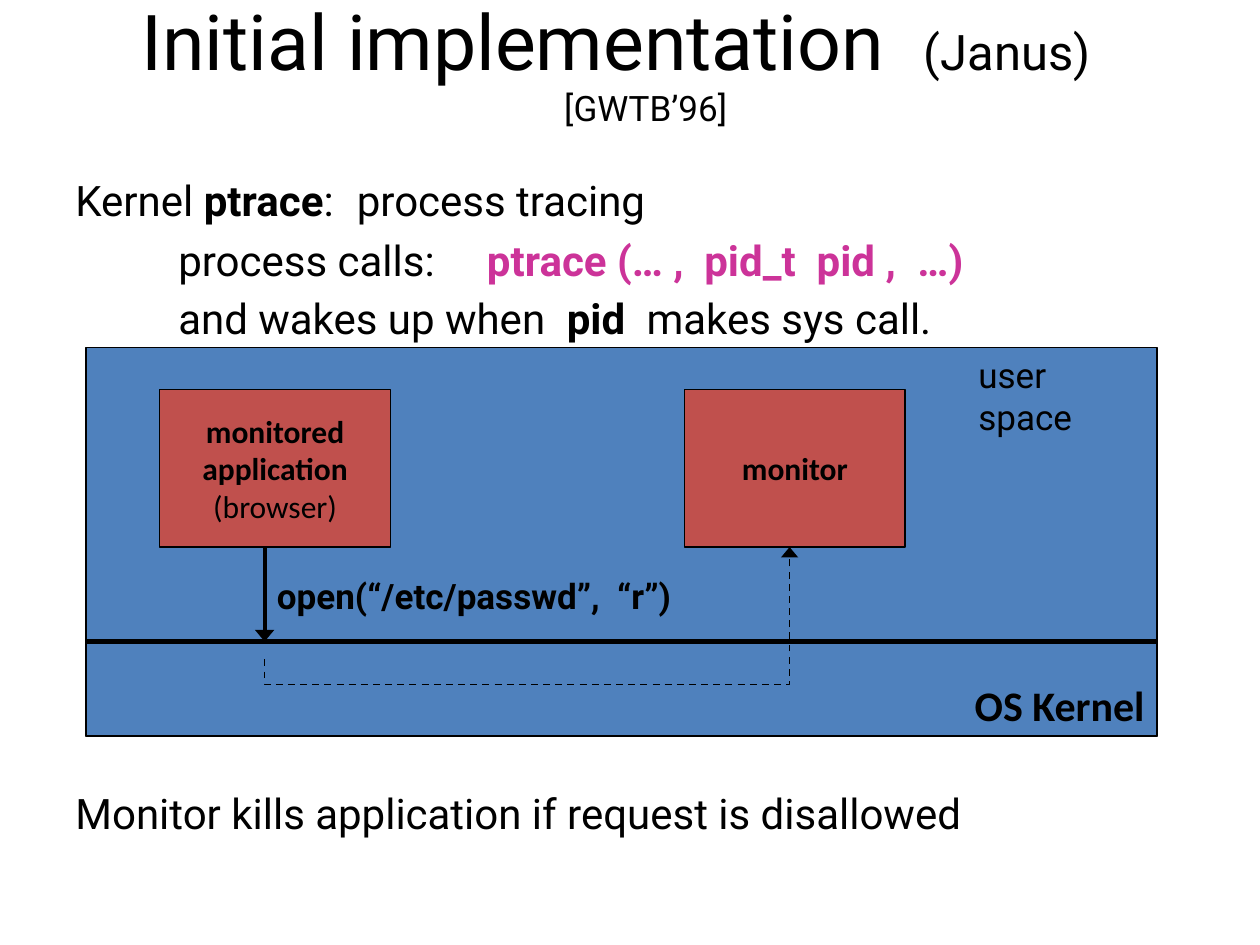
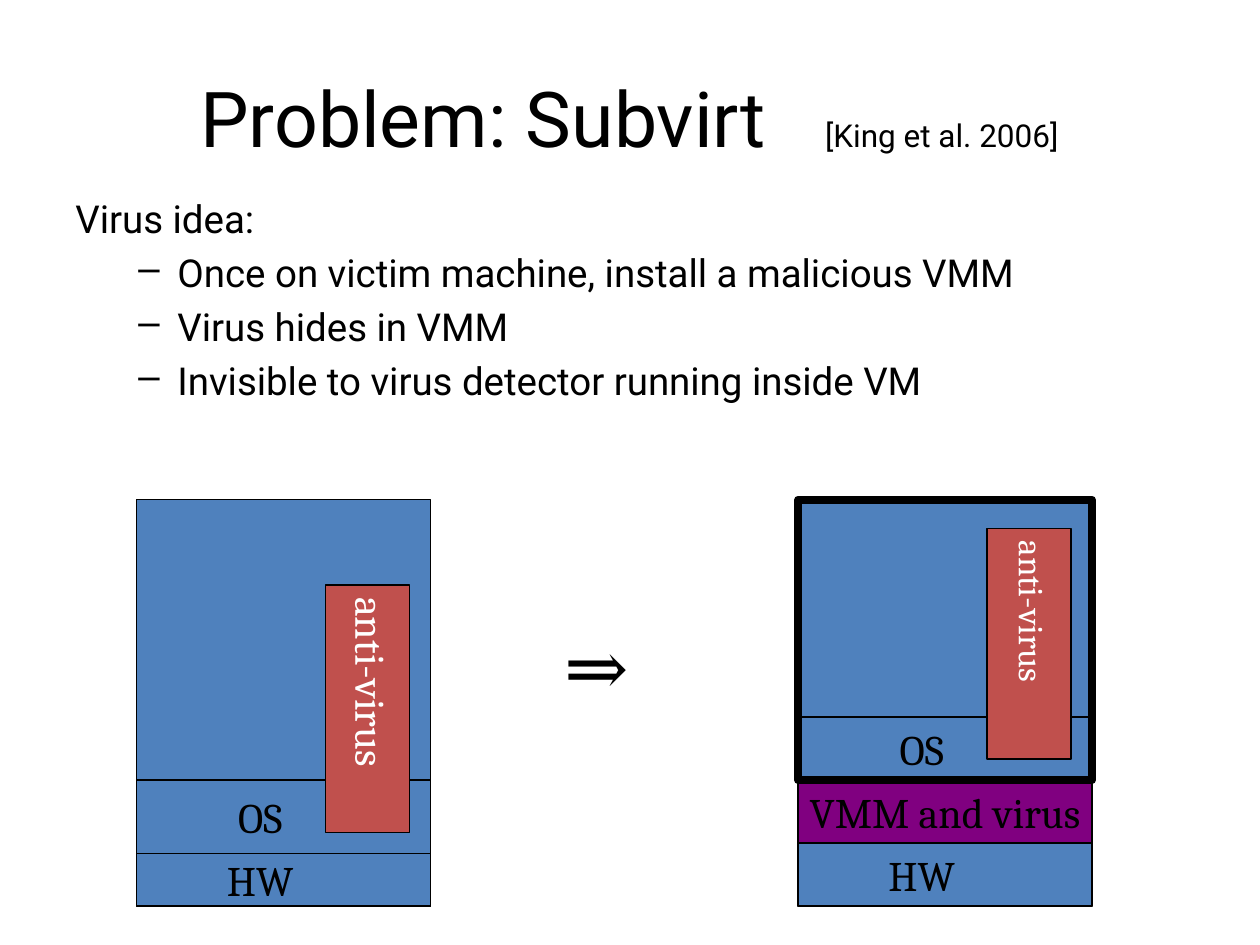
import pptx
import pptx.util
import pptx.oxml
import pptx.oxml.ns
import pptx.dml.color
import pptx.enum.dml
import pptx.enum.shapes
import pptx.enum.text
from dataclasses import dataclass


@dataclass(frozen=True)
class Theme:
    black: str = "000000"
    white: str = "FFFFFF"
    blue: str = "4F81BD"
    red: str = "C0504D"
    purple: str = "800080"
    magenta: str = "CC3399"
    sans: str = "Roboto"
    label: str = "Calibri"
    serif: str = "Cambria"
    title: int = 44
    subtitle: int = 28
    body: int = 24
    bullet: int = 22
    small: int = 20
    caption: int = 18


theme = Theme()
align = pptx.enum.text.PP_ALIGN
anchor = pptx.enum.text.MSO_ANCHOR
rectangle = pptx.enum.shapes.MSO_SHAPE.RECTANGLE

presentation = pptx.Presentation()
presentation.slide_width = pptx.util.Inches(10)
presentation.slide_height = pptx.util.Inches(7.5)
cell = presentation.slide_width // 120
blank = presentation.slide_layouts[6]


def add_block(slide, box, lines=(), size=theme.body, font=theme.sans, color=theme.black,
              bold=False, fill=None, outline=None, alignment=align.LEFT,
              vertical=anchor.TOP, insets=(0.1, 0.1), tabs=(), spacing=0):
    place = [round(cell * value) for value in box]
    if outline:
        shape = slide.shapes.add_shape(rectangle, *place)
        style_line(shape, outline)
        if fill:
            shape.fill.solid()
            shape.fill.fore_color.rgb = pptx.dml.color.RGBColor.from_string(fill)
        else:
            shape.fill.background()
    else:
        shape = slide.shapes.add_textbox(*place)
    frame = shape.text_frame
    frame.word_wrap = True
    frame.vertical_anchor = vertical
    frame.margin_left, frame.margin_right = map(pptx.util.Inches, insets)
    for number, runs in enumerate(lines):
        paragraph = frame.add_paragraph() if number else frame.paragraphs[0]
        paragraph.alignment = alignment
        paragraph.space_before = pptx.util.Pt(spacing)
        for text, changes in [(runs, {})] if isinstance(runs, str) else runs:
            run = paragraph.add_run()
            run.text = text
            run.font.name = font
            run.font.size = pptx.util.Pt(changes.get("size", size))
            run.font.bold = changes.get("bold", bold)
            run.font.color.rgb = pptx.dml.color.RGBColor.from_string(changes.get("color", color))
        if tabs:
            properties = paragraph._p.get_or_add_pPr()
            tab_list = pptx.oxml.parse_xml(f"<a:tabLst {pptx.oxml.ns.nsdecls('a')}/>")
            for tab in tabs:
                tab_list.append(pptx.oxml.parse_xml(
                    f"<a:tab {pptx.oxml.ns.nsdecls('a')} pos='{round(cell * tab)}' algn='l'/>"))
            properties.append(tab_list)
    return shape


def style_line(shape, width, arrow=False, dashed=False):
    shape.line.color.rgb = pptx.dml.color.RGBColor.from_string(theme.black)
    shape.line.width = pptx.util.Pt(width)
    if dashed:
        shape.line.dash_style = pptx.enum.dml.MSO_LINE.DASH
    if arrow:
        shape.line._get_or_add_ln().append(pptx.oxml.parse_xml(
            f"<a:tailEnd {pptx.oxml.ns.nsdecls('a')} type='triangle' w='lg' len='med'/>"))
    shape.element.spPr.append(pptx.oxml.parse_xml(f"<a:effectLst {pptx.oxml.ns.nsdecls('a')}/>"))


strong = {"bold": True}
code = {"bold": True, "color": theme.magenta}
line_gap = 0.2

slide = presentation.slides.add_slide(blank)
title = add_block(slide, (12.3, -1.7, 98.4, 15),
                  [[("Initial implementation\t", {}), ("(Janus)", {"size": theme.subtitle})],
                   [("[GWTB’96]", {"size": theme.small})]],
                  size=theme.title, vertical=anchor.MIDDLE, tabs=[74.5])
title.text_frame.paragraphs[1].alignment = align.CENTER

add_block(slide, (6, 16, 110, 5.6),
          [[("Kernel ", {}), ("ptrace", strong), (":\tprocess tracing", {})]], tabs=[26.8])
add_block(slide, (15.8, 21.7, 100, 11),
          [[("process calls:\t", {}), ("ptrace (… ,\tpid_t\tpid ,\t…)", code)],
           [("and wakes up when\t", {}), ("pid", strong), ("\tmakes sys call.", {})]],
          tabs=[29.4, 37, 44.6, 50.1, 60.8, 70.4], spacing=theme.body * line_gap)
add_block(slide, (6, 74.4, 110, 5.6), ["Monitor kills application if request is disallowed"])

left, right = 8.2, 110.2
top, process_top, process_bottom, kernel_top = 33.1, 37.1, 52.1, 61.1
application_x, monitor_x = 25.2, 75.2

add_block(slide, (left, top, right - left, 37), fill=theme.blue, outline=1)
add_block(slide, (left, kernel_top, right - left, 9), ["OS Kernel"], font=theme.label,
          bold=True, fill=theme.blue, outline=1, alignment=align.RIGHT, vertical=anchor.BOTTOM)
for column, columns, lines in [
    (15.2, 22, ["monitored", "application", [("(browser)", {"bold": False})]]),
    (65.2, 21, ["monitor"]),
]:
    add_block(slide, (column, process_top, columns, process_bottom - process_top), lines,
              size=theme.caption, font=theme.label, bold=True, fill=theme.red, outline=1,
              alignment=align.CENTER, vertical=anchor.MIDDLE)
add_block(slide, (92, top, 14.4, 9), ["user space"], size=theme.small)
add_block(slide, (application_x, 54.1, 47, 5.3), ["open(“/etc/passwd”,\t“r”)"],
          size=theme.small, bold=True, tabs=[32.4])

for start, end, width, arrow in [
    ((application_x, process_bottom), (application_x, kernel_top), 2.25, True),
    ((left, kernel_top), (right, kernel_top), 3, False),
]:
    connector = slide.shapes.add_connector(
        pptx.enum.shapes.MSO_CONNECTOR.STRAIGHT,
        *[round(cell * value) for value in start + end])
    style_line(connector, width, arrow)

route = [(round(cell * column), round(cell * row)) for column, row in [
    (application_x, 62.8), (application_x, 65.2), (monitor_x, 65.2), (monitor_x, process_bottom)]]
builder = slide.shapes.build_freeform(*route[0])
builder.add_line_segments(route[1:], close=False)
notification = builder.convert_to_shape()
notification.fill.background()
style_line(notification, 1, arrow=True, dashed=True)

slide = presentation.slides.add_slide(blank)
add_block(slide, (17.9, 3.6, 90, 15),
          [[("Problem: Subvirt\t", {}), ("[King et al. 2006]", {"size": theme.caption})]],
          size=theme.title, vertical=anchor.MIDDLE, tabs=[59.5])
ideas = add_block(slide, (6, 18, 110, 22),
                  ["Virus idea:",
                   "Once on victim machine, install a malicious VMM",
                   "Virus hides in VMM",
                   "Invisible to virus detector running inside VM"],
                  size=theme.bullet, spacing=theme.bullet * line_gap)
for paragraph in ideas.text_frame.paragraphs[1:]:
    properties = paragraph._p.get_or_add_pPr()
    properties.set("marL", str(pptx.util.Inches(0.81)))
    properties.set("indent", str(pptx.util.Inches(-0.31)))
    properties.append(pptx.oxml.parse_xml(f"<a:buChar {pptx.oxml.ns.nsdecls('a')} char='–'/>"))

stack_top, stack_rows, stack_columns = 47.6, 38.7, 28
shifted, tight = (0.05, 0.42), (0.05, 0.05)
for column, layers, scanner, scanner_size in [
    (13, [("HW", 81.3, 5, theme.blue, shifted),
          ("OS", 74.3, 7, theme.blue, shifted)], (55.7, 23.6), theme.body),
    (76, [("HW", 80.3, 6, theme.blue, shifted),
          ("OS", 68.3, 6, theme.blue, shifted),
          ("VMM and virus", 74.3, 6, theme.purple, tight)], (50.3, 22), theme.small),
]:
    add_block(slide, (column, stack_top, stack_columns, stack_rows), fill=theme.blue, outline=0.75)
    for name, row, rows, fill, insets in layers:
        add_block(slide, (column, row, stack_columns, rows), [name], font=theme.serif, fill=fill,
                  outline=0.75, alignment=align.CENTER, vertical=anchor.MIDDLE, insets=insets)
    antivirus = add_block(slide, (column + 18, scanner[0], 8, scanner[1]), ["anti-virus"],
                          size=scanner_size, font=theme.serif, color=theme.white,
                          fill=theme.red, outline=0.75, vertical=anchor.MIDDLE)
    antivirus.text_frame.paragraphs[0].line_spacing = 0.8
    antivirus.element.txBody.bodyPr.set("vert", "eaVert")
add_block(slide, (76, stack_top, stack_columns, 26.7), outline=4.5)
add_block(slide, (52, 58.3, 9.7, 10), ["⇒"], size=theme.title, font=theme.serif,
          alignment=align.CENTER, insets=(0, 0))

presentation.save("out.pptx")
